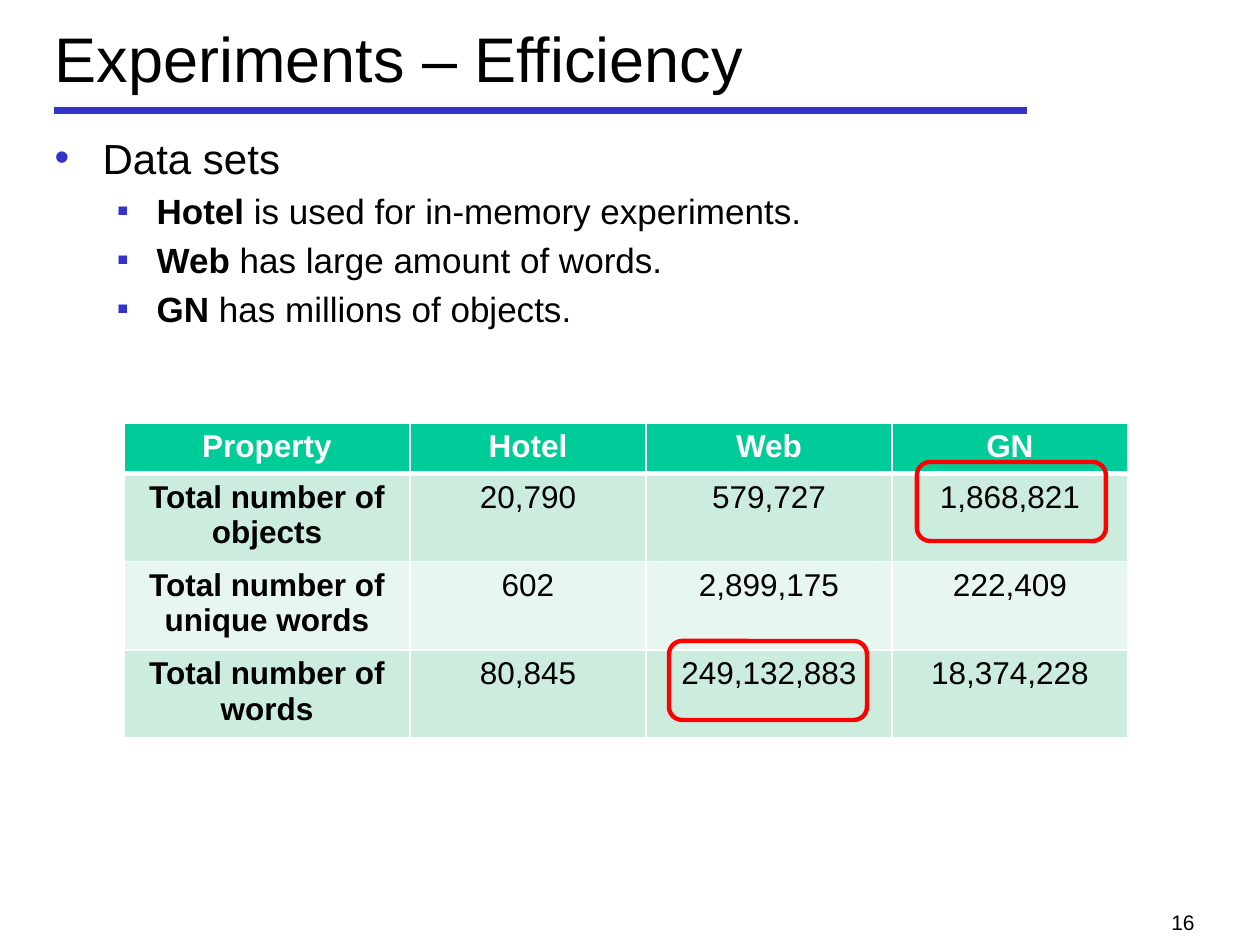
from lxml.etree import SubElement as Sub
from pptx import Presentation
from pptx.dml.color import RGBColor
from pptx.enum.shapes import MSO_CONNECTOR as Conn, MSO_SHAPE as Kind
from pptx.enum.text import MSO_ANCHOR as Anchor, MSO_AUTO_SIZE as Fit, PP_ALIGN as Align
from pptx.oxml.ns import qn
from pptx.util import Emu, Pt

SCALE = 914400 // 126
BLUE, RED, BLACK, WHITE = "3333CC", "FF0000", "000000", "FFFFFF"
GREEN, MINT, PALE = "00CC99", "CCECDE", "E7F6EF"

POINTS = [
    ("Hotel", " is used for in-memory experiments."),
    ("Web", " has large amount of words."),
    ("GN", " has millions of objects."),
]
ROWS = [
    ("Property", "Hotel", "Web", "GN"),
    ("Total number of objects", "20,790", "579,727", "1,868,821"),
    ("Total number of unique words", "602", "2,899,175", "222,409"),
    ("Total number of words", "80,845", "249,132,883", "18,374,228"),
]
WIDTHS = (286, 236, 246, 236)
HEIGHTS = (50, 83, 83, 83)


def px(n):
    """Turn pixels into EMU."""
    return Emu(n * SCALE)


def rgb(code):
    """Turn a hex string into a colour."""
    return RGBColor.from_string(code)


def place(shape, *box):
    """Move and size a shape."""
    shape.left, shape.top, shape.width, shape.height = map(px, box)


def add_run(para, text, size, color=BLACK, bold=False):
    """Add one run of text."""
    run = para.add_run()
    run.text = text
    font = run.font
    font.name, font.size, font.bold = "Arial", Pt(size), bold
    font.color.rgb = rgb(color)


def add_mark(para, char, left, hang, size=100):
    """Give a paragraph a hanging bullet."""
    props = para._p.get_or_add_pPr()
    props.set("marL", str(px(left)))
    props.set("indent", str(-px(hang)))
    tint = Sub(props, qn("a:buClr"))
    Sub(tint, qn("a:srgbClr"), val=BLUE)
    Sub(props, qn("a:buSzPct"), val=str(size * 1000))
    Sub(props, qn("a:buFont"), typeface="Arial")
    Sub(props, qn("a:buChar"), char=char)


def add_title(slide):
    """Fill the title and draw the rule below it."""
    title = slide.shapes.title
    place(title, 42, 5, 1005, 105)
    frame = title.text_frame
    frame.auto_size, frame.vertical_anchor = Fit.NONE, Anchor.MIDDLE
    para = frame.paragraphs[0]
    para.alignment = Align.LEFT
    add_run(para, "Experiments – Efficiency", 36)
    rule = slide.shapes.add_connector(Conn.STRAIGHT, *map(px, (54, 111, 1027, 111)))
    rule.line.color.rgb, rule.line.width = rgb(BLUE), Pt(4)
    Sub(rule._element.spPr, qn("a:effectLst"))


def add_list(slide):
    """Fill the body with the bullet list."""
    body = slide.placeholders[1]
    place(body, 42, 126, 1166, 247)
    frame = body.text_frame
    frame.auto_size = Fit.NONE
    head = frame.paragraphs[0]
    add_mark(head, "•", 48, 48)
    add_run(head, "Data sets", 24)
    for name, note in POINTS:
        para = frame.add_paragraph()
        para.level = 1
        add_mark(para, "■", 102, 39, 50)
        add_run(para, name, 20, bold=True)
        add_run(para, note, 20)


def add_edges(cell, base):
    """Draw white cell borders, the bottom one of a given width."""
    props = cell._tc.get_or_add_tcPr()
    for side, width in (("L", 1), ("R", 1), ("T", 1), ("B", base)):
        edge = Sub(props, qn(f"a:ln{side}"), w=str(Pt(width)))
        fill = Sub(edge, qn("a:solidFill"))
        Sub(fill, qn("a:srgbClr"), val=WHITE)


def add_grid(slide):
    """Add the table of data set sizes."""
    box = map(px, (124, 423, sum(WIDTHS), sum(HEIGHTS)))
    grid = slide.shapes.add_table(len(ROWS), len(WIDTHS), *box).table
    for col, width in zip(grid.columns, WIDTHS):
        col.width = px(width)
    for r, texts in enumerate(ROWS):
        grid.rows[r].height = px(HEIGHTS[r])
        fill = GREEN if r == 0 else (PALE, MINT)[r % 2]
        for c, text in enumerate(texts):
            cell = grid.cell(r, c)
            add_edges(cell, 3 if r < 1 else 1)
            cell.fill.solid()
            cell.fill.fore_color.rgb = rgb(fill)
            para = cell.text_frame.paragraphs[0]
            para.alignment = Align.CENTER
            add_run(para, text, 18, BLACK if r else WHITE, r == 0 or c == 0)


def add_ring(slide, *box):
    """Add a red rounded outline."""
    ring = slide.shapes.add_shape(Kind.ROUNDED_RECTANGLE, *map(px, box))
    ring.shadow.inherit = False
    ring.fill.background()
    ring.line.color.rgb, ring.line.width = rgb(RED), Pt(2.5)


def add_page(slide):
    """Add the page number."""
    box = slide.shapes.add_textbox(*map(px, (1124, 903, 83, 32)))
    box.text_frame.word_wrap = True
    para = box.text_frame.paragraphs[0]
    para.alignment = Align.RIGHT
    add_run(para, "16", 12)


def main():
    """Build and save the slide."""
    deck = Presentation()
    deck.slide_width, deck.slide_height = px(1260), px(945)
    slide = deck.slides.add_slide(deck.slide_layouts[1])
    add_title(slide)
    add_list(slide)
    add_page(slide)
    add_grid(slide)
    add_ring(slide, 669, 641, 198, 79)
    add_ring(slide, 917, 462, 189, 79)
    deck.save("out.pptx")


main()
